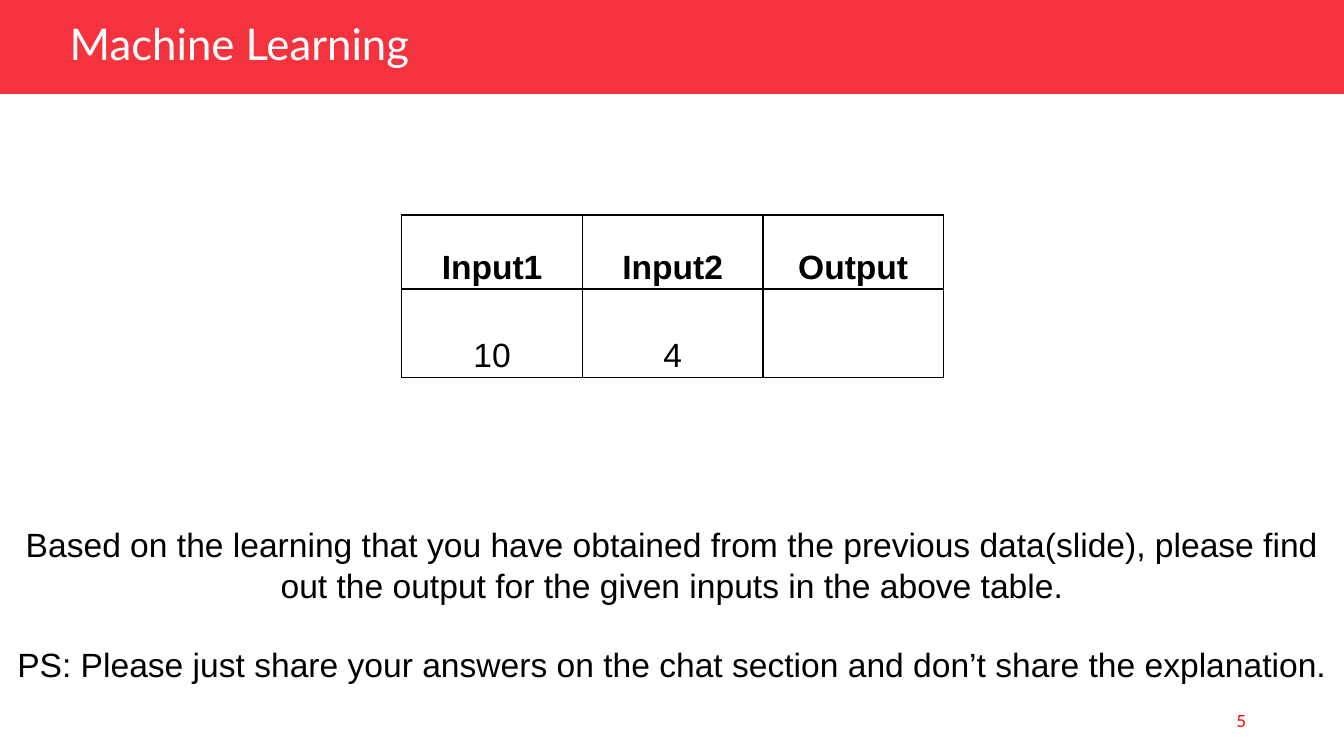
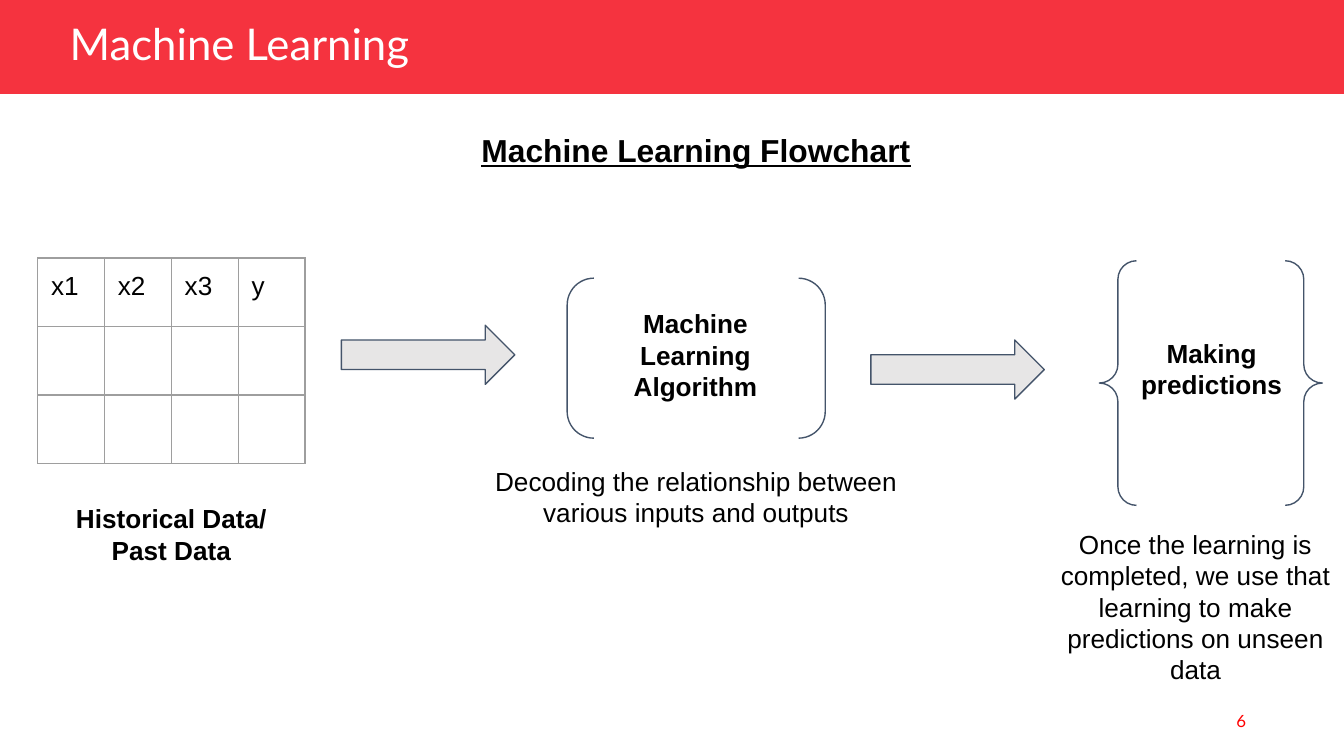
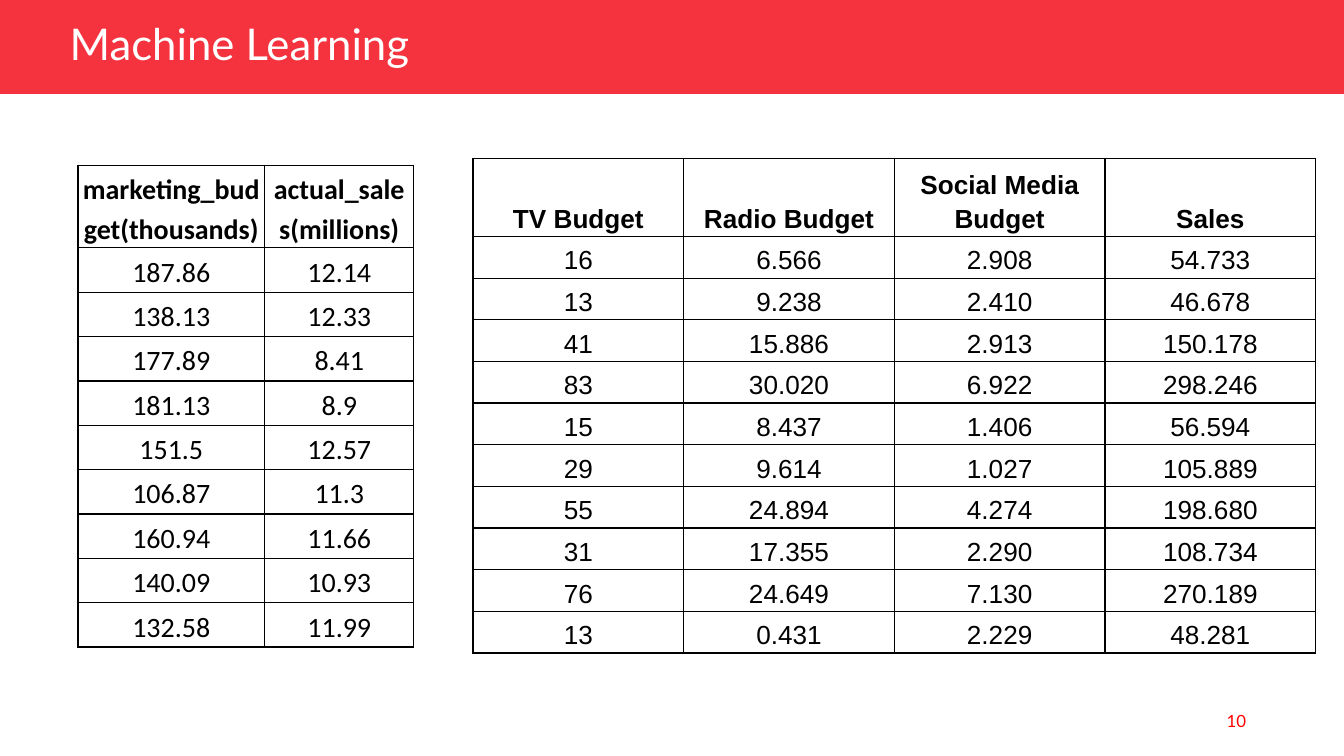
from lxml.etree import SubElement
from pptx import Presentation
from pptx.dml.color import RGBColor
from pptx.enum.shapes import MSO_SHAPE
from pptx.enum.text import MSO_ANCHOR, PP_ALIGN
from pptx.oxml.ns import qn
from pptx.util import Inches, Pt

COLORS = {
    "band": "F5333F",
    "page_number": "FF0000",
    "title": "FFFFFF",
    "text": "000000",
    "grid": "9E9E9E",
    "arrow": "E7E6E6",
    "outline": "44546A",
}
SLIDE_WIDTH = Inches(10)
SLIDE_HEIGHT = SLIDE_WIDTH * 9 // 16
CENTER, LEFT, RIGHT = PP_ALIGN.CENTER, PP_ALIGN.LEFT, PP_ALIGN.RIGHT
TOP, MIDDLE, BOTTOM = MSO_ANCHOR.TOP, MSO_ANCHOR.MIDDLE, MSO_ANCHOR.BOTTOM

PROMPT = [
    "Based on the learning that you have obtained from the previous data(slide), "
    "please find out the output for the given inputs in the above table.",
    "PS: Please just share your answers on the chat section and don’t share the explanation.",
]

SALES = [
    ["marketing_budget(thousands)", "actual_sales(millions)"],
    ["187.86", "12.14"],
    ["138.13", "12.33"],
    ["177.89", "8.41"],
    ["181.13", "8.9"],
    ["151.5", "12.57"],
    ["106.87", "11.3"],
    ["160.94", "11.66"],
    ["140.09", "10.93"],
    ["132.58", "11.99"],
]

BUDGETS = [
    ["TV Budget", "Radio Budget", "Social Media Budget", "Sales"],
    ["16", "6.566", "2.908", "54.733"],
    ["13", "9.238", "2.410", "46.678"],
    ["41", "15.886", "2.913", "150.178"],
    ["83", "30.020", "6.922", "298.246"],
    ["15", "8.437", "1.406", "56.594"],
    ["29", "9.614", "1.027", "105.889"],
    ["55", "24.894", "4.274", "198.680"],
    ["31", "17.355", "2.290", "108.734"],
    ["76", "24.649", "7.130", "270.189"],
    ["13", "0.431", "2.229", "48.281"],
]


def rgb(name):
    return RGBColor.from_string(COLORS[name])


def apply(target, values):
    for name, value in values.items():
        setattr(target, name, value)


def margins(across, down):
    return {
        "margin_left": Inches(across), "margin_right": Inches(across),
        "margin_top": Inches(down), "margin_bottom": Inches(down),
    }


def write(paragraph, text, size, font="Arial", color="text", bold=False,
          underline=False, align=CENTER, spacing=1.0):
    apply(paragraph, {"alignment": align, "line_spacing": spacing})
    span = paragraph.add_run()
    span.text = text
    apply(span.font, {"name": font, "size": Pt(size), "bold": bold, "underline": underline})
    span.font.color.rgb = rgb(color)


def add_text(page, at, texts, size, inset=0.1, anchor=TOP, gap=0, **style):
    box = page.shapes.add_textbox(*map(Inches, at))
    frame = box.text_frame
    apply(frame, {"word_wrap": True, "vertical_anchor": anchor, **margins(0.1, inset)})
    for index, text in enumerate(texts):
        paragraph = frame.add_paragraph() if index else frame.paragraphs[0]
        if index and gap:
            paragraph.space_before = Pt(gap)
        write(paragraph, text, size, **style)


def add_figure(page, kind, at, fill=None, line=None):
    figure = page.shapes.add_shape(kind, *map(Inches, at))
    figure.shadow.inherit = False
    if fill:
        figure.fill.solid()
        figure.fill.fore_color.rgb = rgb(fill)
    else:
        figure.fill.background()
    if line:
        figure.line.color.rgb = rgb(line)
        figure.line.width = Pt(0.75)
    else:
        figure.line.fill.background()


def add_borders(cell, color):
    properties = cell._tc.get_or_add_tcPr()
    for side in ("lnL", "lnR", "lnT", "lnB"):
        border = SubElement(properties, qn(f"a:{side}"), w=str(Pt(0.75)))
        fill = SubElement(border, qn("a:solidFill"))
        SubElement(fill, qn("a:srgbClr"), val=COLORS[color])


def add_grid(page, left, top, widths, heights, rows, size, border="text",
             inset=(0.03, 0.02), anchor=BOTTOM, bold_header=True, **style):
    frame = page.shapes.add_table(
        len(rows), len(widths), Inches(left), Inches(top),
        Inches(sum(widths)), Inches(sum(heights)))
    table = frame.table
    apply(table, {"first_row": False, "horz_banding": False})
    for column, width in zip(table.columns, widths):
        column.width = Inches(width)
    for row, height, texts in zip(table.rows, heights, rows):
        row.height = Inches(height)
        header = texts is rows[0]
        for cell, text in zip(row.cells, texts):
            apply(cell, {"vertical_anchor": anchor, **margins(*inset)})
            add_borders(cell, border)
            cell.fill.background()
            if text:
                write(cell.text_frame.paragraphs[0], text, size,
                      bold=header and bold_header, **style)


def add_page(deck, number):
    page = deck.slides.add_slide(deck.slide_layouts[6])
    add_figure(page, MSO_SHAPE.RECTANGLE, (0, 0, 10, 0.7), fill="band")
    add_text(page, (7.12, 5.21, 2.25, 0.3), [str(number)], 9, inset=0.05,
             anchor=MIDDLE, font="Lato", color="page_number", align=RIGHT)
    add_text(page, (0.42, 0.14, 4.69, 0.44), ["Machine Learning"], 23.4, inset=0.05,
             anchor=MIDDLE, font="Lato", color="title", align=LEFT, spacing=0.8)
    return page


def build_question(deck):
    page = add_page(deck, 5)
    add_grid(page, 2.99, 1.6, [4.03 / 3] * 3, [0.55, 0.66],
             [["Input1", "Input2", "Output"], ["10", "4", ""]], 18, spacing=1.15)
    add_text(page, (0, 3.8, 10, 1.41), PROMPT, 18, gap=21)


def build_flowchart(deck):
    page = add_page(deck, 6)

    # Past data
    add_grid(page, 0.28, 1.92, [1.99 / 4] * 4, [0.51] * 3,
             [["x1", "x2", "x3", "y"], [""] * 4, [""] * 4], 14, border="grid",
             inset=(0.1, 0.1), anchor=TOP, bold_header=False, align=LEFT)

    # Arrows and the stages they lead to
    for left, top in ((2.54, 2.42), (6.48, 2.53)):
        add_figure(page, MSO_SHAPE.RIGHT_ARROW, (left, top, 1.29, 0.44),
                   fill="arrow", line="outline")
    add_figure(page, MSO_SHAPE.DOUBLE_BRACKET, (4.22, 2.07, 1.92, 1.19), line="outline")
    add_figure(page, MSO_SHAPE.DOUBLE_BRACE, (8.18, 1.94, 1.66, 1.82), line="outline")

    # Stage names, explanations and heading
    labels = [
        ((0.28, 3.64, 1.99, 0.67), "Historical Data/ Past Data", True),
        ((4.47, 2.19, 1.41, 0.91), "Machine Learning Algorithm", True),
        ((3.33, 3.36, 3.7, 0.67),
         "Decoding the relationship between various inputs and outputs", False),
        ((8.37, 2.41, 1.29, 0.67), "Making predictions", True),
        ((7.77, 3.83, 2.25, 1.38),
         "Once the learning is completed, we use that learning to make "
         "predictions on unseen data", False),
    ]
    for at, text, bold in labels:
        add_text(page, at, [text], 14, bold=bold)
    add_text(page, (2.63, 0.87, 5.1, 0.49), ["Machine Learning Flowchart"], 17,
             bold=True, underline=True)


def build_data(deck):
    page = add_page(deck, 10)
    add_grid(page, 0.58, 1.23, [1.39, 1.11], [0.61] + [0.33] * 9, SALES, 15,
             font="Calibri", spacing=1.15)
    add_grid(page, 3.52, 1.18, [6.27 / 4] * 4, [0.58] + [0.31] * 10, BUDGETS, 14,
             spacing=1.15)


def main():
    deck = Presentation()
    apply(deck, {"slide_width": SLIDE_WIDTH, "slide_height": SLIDE_HEIGHT})
    build_question(deck)
    build_flowchart(deck)
    build_data(deck)
    deck.save("out.pptx")


if __name__ == "__main__":
    main()
